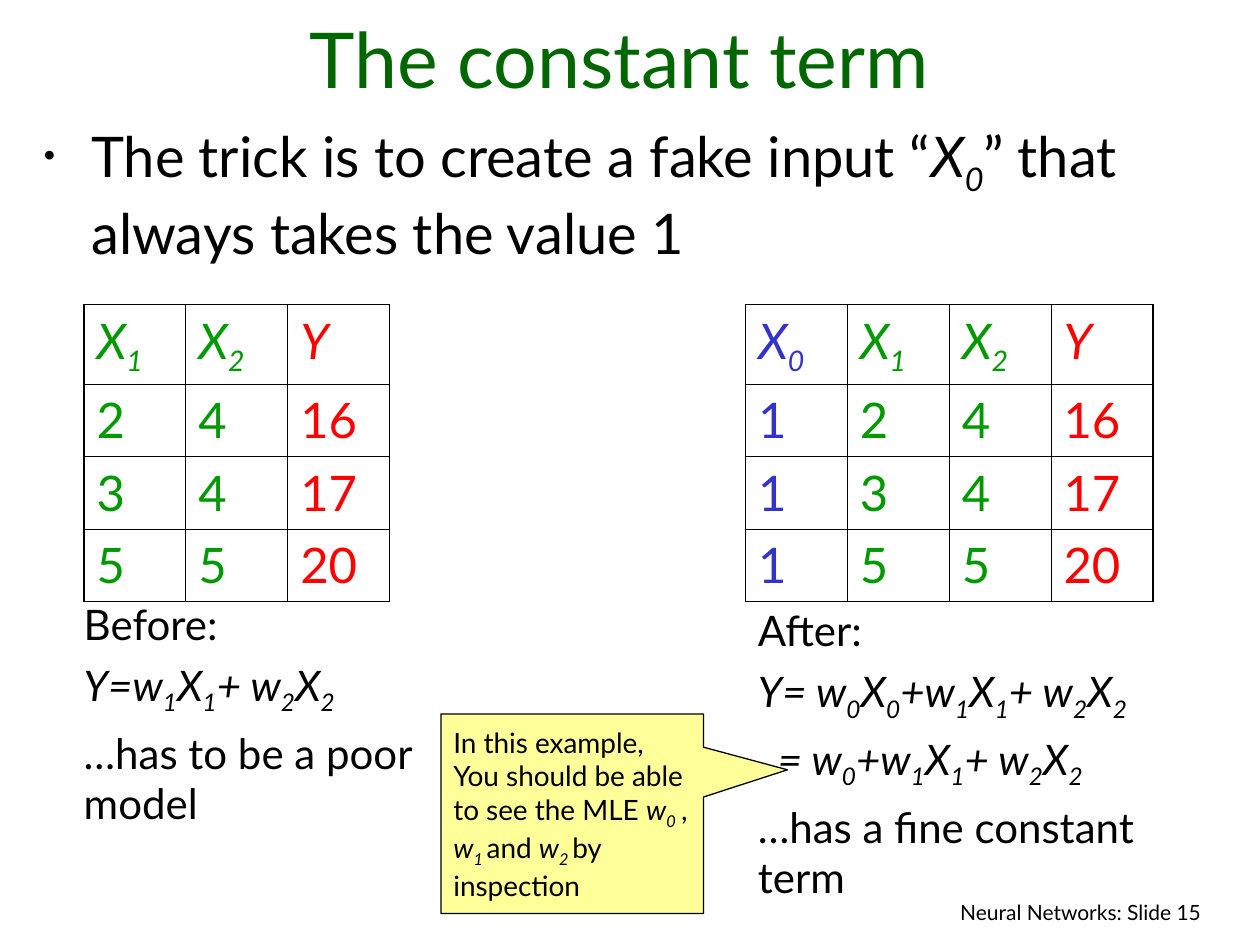
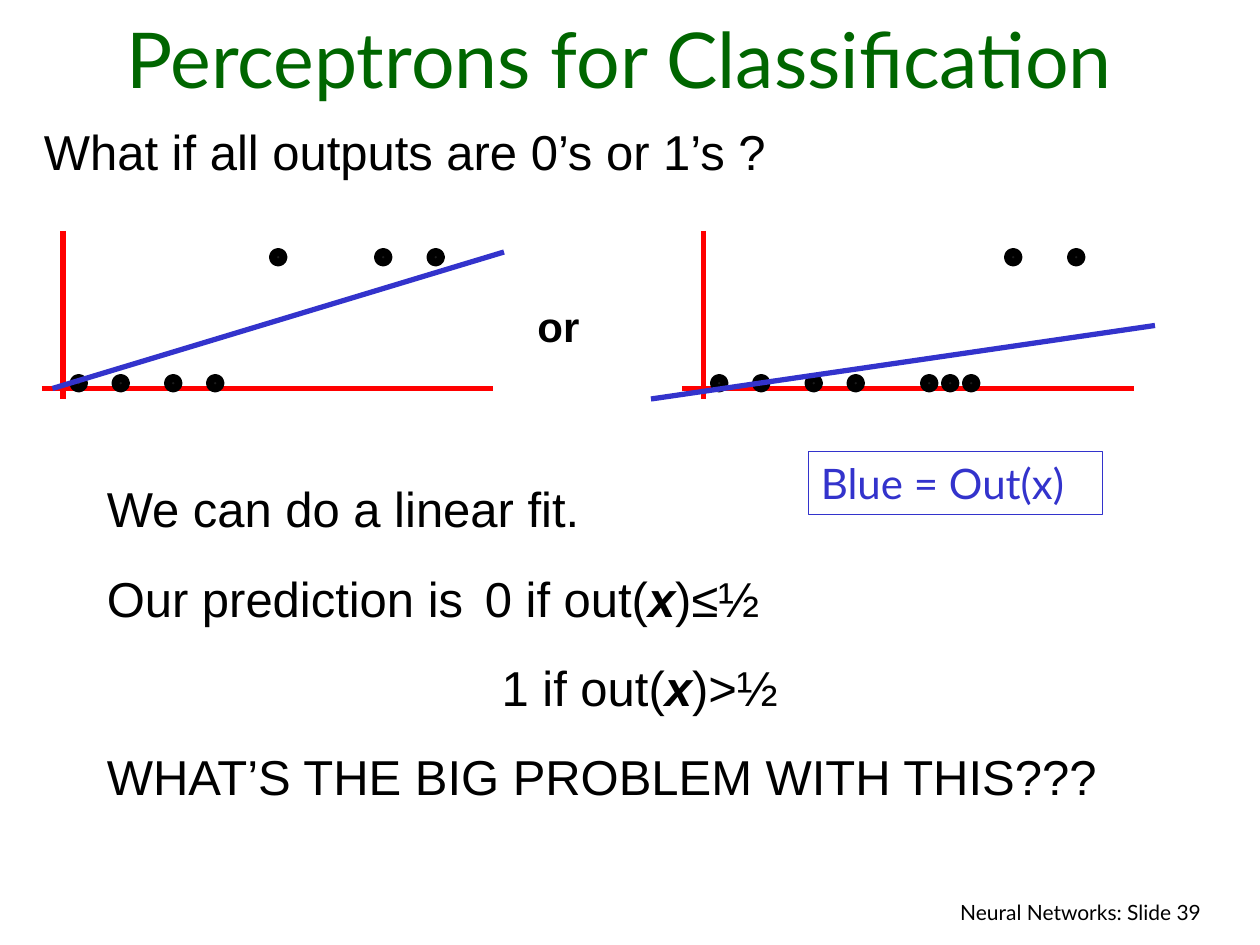
from dataclasses import dataclass

from lxml import etree
from pptx import Presentation, util as u
from pptx.dml.color import RGBColor
from pptx.enum import shapes, text
from pptx.oxml import ns

PX = 7620


@dataclass(frozen=True)
class Theme:
    """Colours, fonts and type sizes of the deck."""
    black: str = "000000"
    title: str = "006600"
    green: str = "009900"
    red: str = "FF0000"
    blue: str = "3333CC"
    dot: str = "1C1C1C"
    note: str = "FFFF99"
    font: str = "Lato"
    plain: str = "Arial"
    head: int = 44
    lead: int = 32
    body: int = 28
    text: int = 24
    small: int = 16
    foot: int = 12
    thin: float = 0.45
    edge: float = 1.08
    hair: float = 0.75
    bold: float = 3
    rim: float = 4.5


def px(n):
    """Turn px into EMU."""
    return u.Emu(n * PX)


def rgb(tone):
    """Turn a hex string into a colour."""
    return RGBColor.from_string(tone)


def sub(parent, tag, **attrs):
    """Append a DrawingML element."""
    return etree.SubElement(parent, ns.qn("a:" + tag), attrs)


def math(line):
    """Split italic maths into runs, with one subscript after each underscore."""
    first, *rest = line.split("_")
    runs = [(first, "i")]
    for part in rest:
        runs.append((part[0], "is"))
        if part[1:]:
            runs.append((part[1:], "i"))
    return runs


class Deck:
    """Holds the style and the current slide."""

    def __init__(self, theme):
        """Start an empty deck."""
        self.t = theme
        self.prs = Presentation()
        self.prs.slide_width, self.prs.slide_height = px(1200), px(900)

    def page(self, title, number):
        """Add a slide with its title and footer."""
        self.slide = self.prs.slides.add_slide(self.prs.slide_layouts[5])
        head = self.slide.shapes.title
        head.left, head.top, head.width, head.height = map(px, (30, 20, 1120, 85))
        self.fill(head.text_frame, [title], self.t.head, self.t.title,
                  align=text.PP_ALIGN.CENTER)
        head.text_frame.vertical_anchor = text.MSO_ANCHOR.BOTTOM
        self.box((686, 851, 470, 40), [f"Neural Networks: Slide {number}"],
                 self.t.foot, align=text.PP_ALIGN.RIGHT)

    def runs(self, para, parts, size, tone, font):
        """Add runs; marks are i italic, b bold, s subscript."""
        for words, marks in [(parts, "")] if isinstance(parts, str) else parts:
            run = para.add_run()
            run.text = words
            face = run.font
            face.size, face.name = u.Pt(size), font
            face.color.rgb = rgb(tone)
            face.italic, face.bold = "i" in marks, "b" in marks
            if "s" in marks:
                run._r.get_or_add_rPr().set("baseline", "-25000")

    def fill(self, frame, paras, size, tone=None, font=None,
             align=text.PP_ALIGN.LEFT, gap=0, pitch=None):
        """Write paragraphs into a text frame."""
        frame.word_wrap = True
        frame.auto_size = text.MSO_AUTO_SIZE.NONE
        for i, parts in enumerate(paras):
            para = frame.add_paragraph() if i else frame.paragraphs[0]
            para.alignment = align
            para.space_before = u.Pt(gap if i else 0)
            if pitch:
                para.line_spacing = u.Pt(pitch)
            self.runs(para, parts, size, tone or self.t.black, font or self.t.font)

    def box(self, at, paras, size, **style):
        """Add a text box and return its paragraphs."""
        frame = self.slide.shapes.add_textbox(*map(px, at)).text_frame
        self.fill(frame, paras, size, **style)
        return frame.paragraphs

    def indent(self, para, left, hang=0):
        """Set the left margin and hanging indent."""
        props = para._p.get_or_add_pPr()
        props.set("marL", str(px(left)))
        props.set("indent", str(px(-hang)))
        return props

    def bullet(self, para):
        """Give a paragraph a small black bullet."""
        props = self.indent(para, 45, 45)
        sub(sub(props, "buClr"), "srgbClr", val=self.t.black)
        sub(props, "buSzPct", val="60000")
        sub(props, "buChar", char="•")

    def shape(self, kind, at, fill, line, width):
        """Add a preset shape."""
        item = self.slide.shapes.add_shape(kind, *map(px, at))
        item.shadow.inherit = False
        if fill:
            item.fill.solid()
            item.fill.fore_color.rgb = rgb(fill)
        else:
            item.fill.background()
        item.line.color.rgb = rgb(line)
        item.line.width = u.Pt(width)
        return item

    def line(self, ends, tone):
        """Add a straight line."""
        item = self.slide.shapes.add_connector(
            shapes.MSO_CONNECTOR.STRAIGHT, *map(px, ends))
        item.line.color.rgb = rgb(tone)
        item.line.width = u.Pt(self.t.bold)
        sub(item._element.spPr, "effectLst")

    def border(self, cell, sides):
        """Draw cell borders, heavier on the outer sides."""
        props = cell._tc.get_or_add_tcPr()
        for side, outer in sides.items():
            width = u.Pt(self.t.edge if outer else self.t.thin)
            rule = sub(props, "ln" + side, w=str(width))
            sub(sub(rule, "solidFill"), "srgbClr", val=self.t.black)

    def table(self, left, top, names, rows):
        """Add a data table with one colour per column."""
        tall, wide = len(rows) + 1, len(names)
        grid = self.slide.shapes.add_table(
            tall, wide, px(left), px(top), px(97 * wide), px(283)).table
        grid.first_row = grid.horz_banding = False
        for col in grid.columns:
            col.width = px(97)
        for r, row in enumerate([names, *rows]):
            grid.rows[r].height = px(69 if r else 76)
            for c, (name, value) in enumerate(zip(names, row)):
                tone = {"X_0": self.t.blue, "Y": self.t.red}.get(name, self.t.green)
                cell = grid.cell(r, c)
                self.border(cell, {"L": c == 0, "R": c == wide - 1,
                                   "T": r == 0, "B": r == tall - 1})
                cell.fill.background()
                self.runs(cell.text_frame.paragraphs[0],
                          str(value) if r else math(value),
                          self.t.body, tone, self.t.font)

    def plot(self, axis, low, high, fit):
        """Draw axes, 0 and 1 dots, and the fitted line."""
        self.line((axis, 220, axis, 380), self.t.red)
        self.line((axis - 20, 370, axis + 410, 370), self.t.red)
        for y, spots in ((360, low), (240, high)):
            for x in spots:
                self.shape(shapes.MSO_SHAPE.FLOWCHART_CONNECTOR,
                           (axis + x, y, 10, 10), self.t.dot, self.t.black, self.t.rim)
        x1, y1, x2, y2 = fit
        self.line((axis + x1, y1, axis + x2, y2), self.t.blue)


def constant(deck):
    """Build the slide on the constant term."""
    t = deck.t
    deck.page("The constant term", 15)
    lead = deck.box((30, 110, 1125, 150), [[
        ("The trick is to create a fake input “", ""), *math("X_0"),
        ("” that always takes the value 1", "")]], t.lead)
    deck.bullet(lead[0])
    data = [(2, 4, 16), (3, 4, 17), (5, 5, 20)]
    names = ["X_1", "X_2", "Y"]
    deck.table(80, 290, names, data)
    deck.table(710, 290, ["X_0", *names], [(1, *row) for row in data])
    deck.box((68, 564, 372, 230),
             ["Before:", math("Y=w_1X_1+ w_2X_2"), "…has to be a poor model"],
             t.text, gap=6)
    after = deck.box((710, 570, 450, 295),
                     ["After:", math("Y= w_0X_0+w_1X_1+ w_2X_2"),
                      math("= w_0+w_1X_1+ w_2X_2"), "…has a fine constant term"],
                     t.text, gap=6)
    deck.indent(after[2], 19)
    note = deck.shape(shapes.MSO_SHAPE.RECTANGULAR_CALLOUT, (420, 680, 250, 190),
                      t.note, t.black, t.hair)
    note.adjustments[0], note.adjustments[1] = 0.82, -0.22
    deck.fill(note.text_frame, [[
        ("In this example, You should be able to see the MLE ", ""),
        *math("w_0"), (" , w", "i"), ("1 ", "is"), ("and ", ""),
        ("w", "i"), ("2 ", "is"), ("by inspection", "")]], t.small)
    note.text_frame.vertical_anchor = text.MSO_ANCHOR.MIDDLE


def classify(deck):
    """Build the slide on classification."""
    t = deck.t
    deck.page("Perceptrons for Classification", 39)
    deck.box((30, 110, 1125, 89), ["What if all outputs are 0’s or 1’s ?"],
             t.body, font=t.plain, pitch=33.6)
    deck.box((500, 280, 100, 60), [[("or", "b")]], t.text, font=t.plain)
    rules = deck.box((90, 450, 1020, 324), [
        "We can do a linear fit.",
        [("Our prediction is\t0 if out(", ""), ("x", "bi"), (")≤½", "")],
        [("1 if out(", ""), ("x", "bi"), (")>½", "")],
        "WHAT’S THE BIG PROBLEM WITH THIS???",
    ], t.body, font=t.plain, gap=17.5, pitch=33.6)
    stop = 376
    tabs = sub(deck.indent(rules[1], 0), "tabLst")
    sub(tabs, "tab", pos=str(px(stop)), algn="l")
    deck.indent(rules[2], stop)
    near = [10, 50, 100, 140]
    deck.plot(60, near, [200, 300, 350], (-10, 370, 420, 240))
    deck.plot(670, near + [210, 230, 250], [290, 350], (-50, 380, 430, 310))
    key = deck.shape(shapes.MSO_SHAPE.RECTANGLE, (770, 430, 280, 60),
                     None, t.blue, t.hair)
    deck.fill(key.text_frame, ["Blue = Out(x)"], t.text, t.blue)
    key.text_frame.vertical_anchor = text.MSO_ANCHOR.TOP


def main():
    """Build and save the deck."""
    deck = Deck(Theme())
    constant(deck)
    classify(deck)
    deck.prs.save("out.pptx")


if __name__ == "__main__":
    main()
